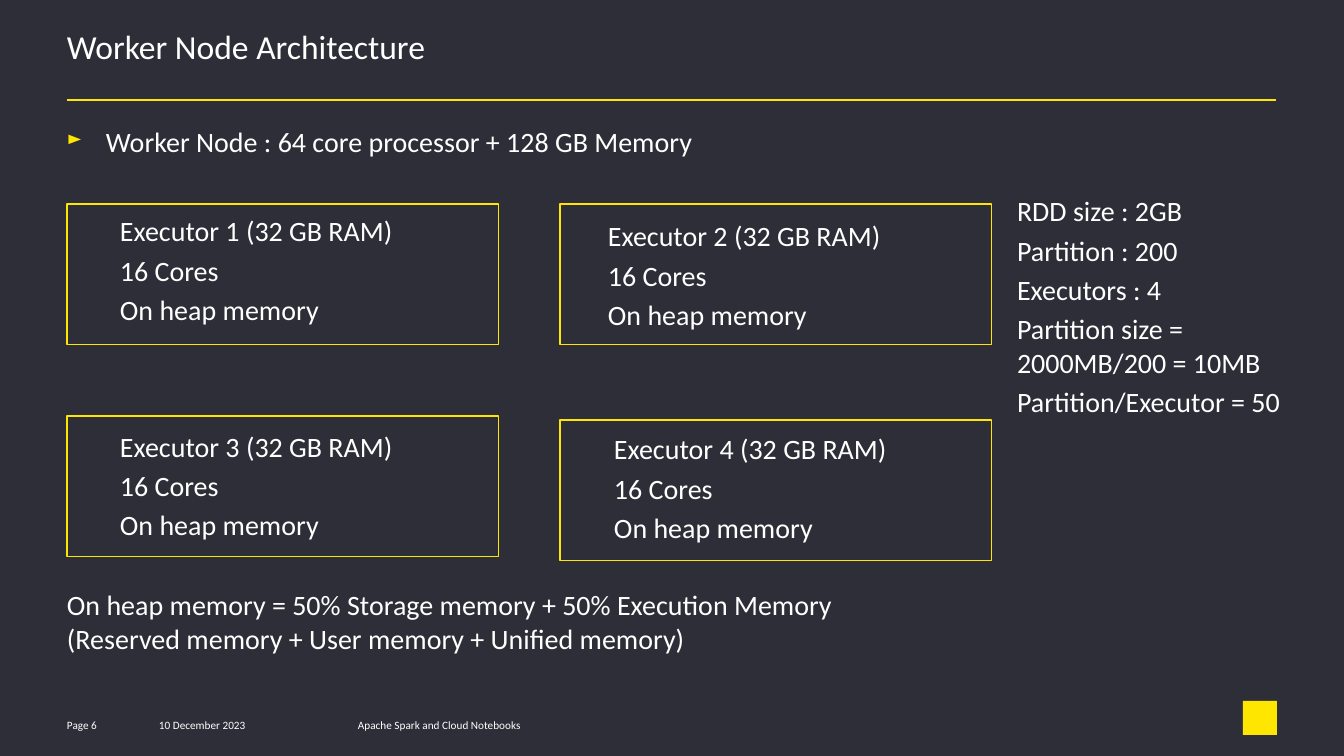
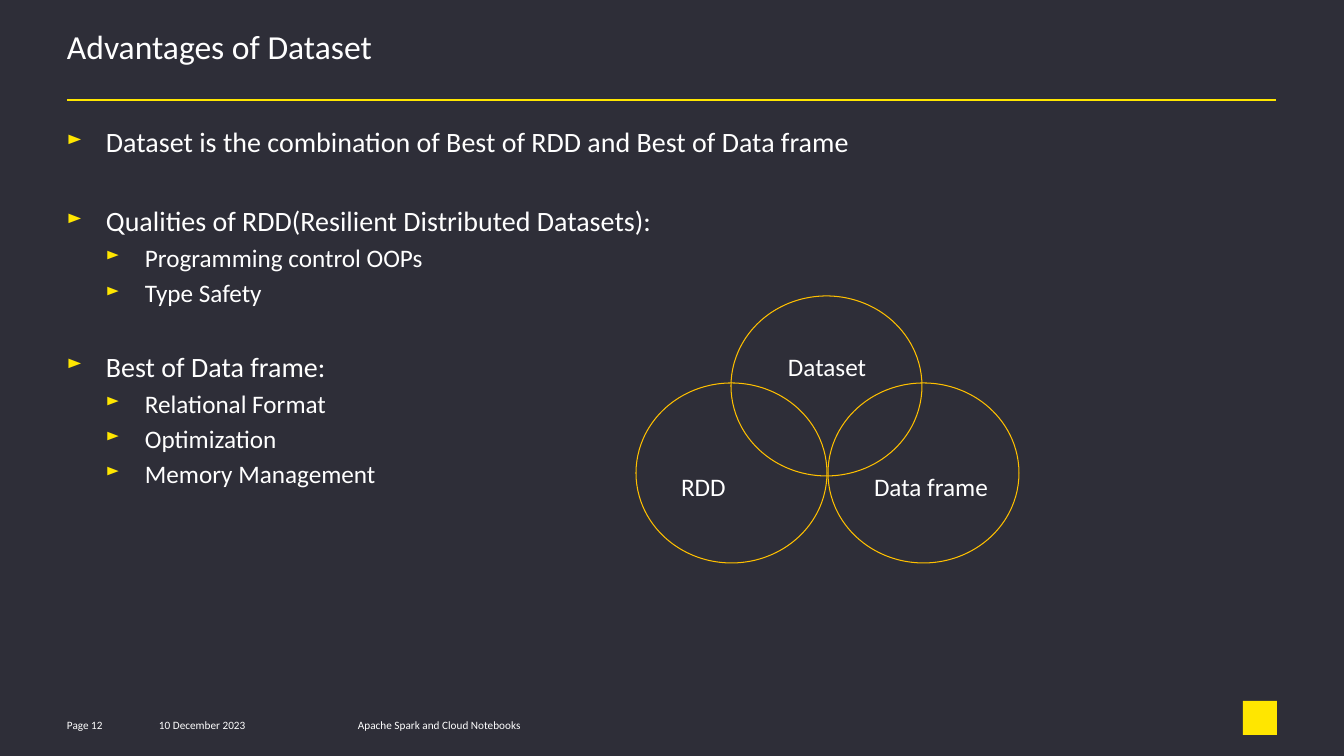
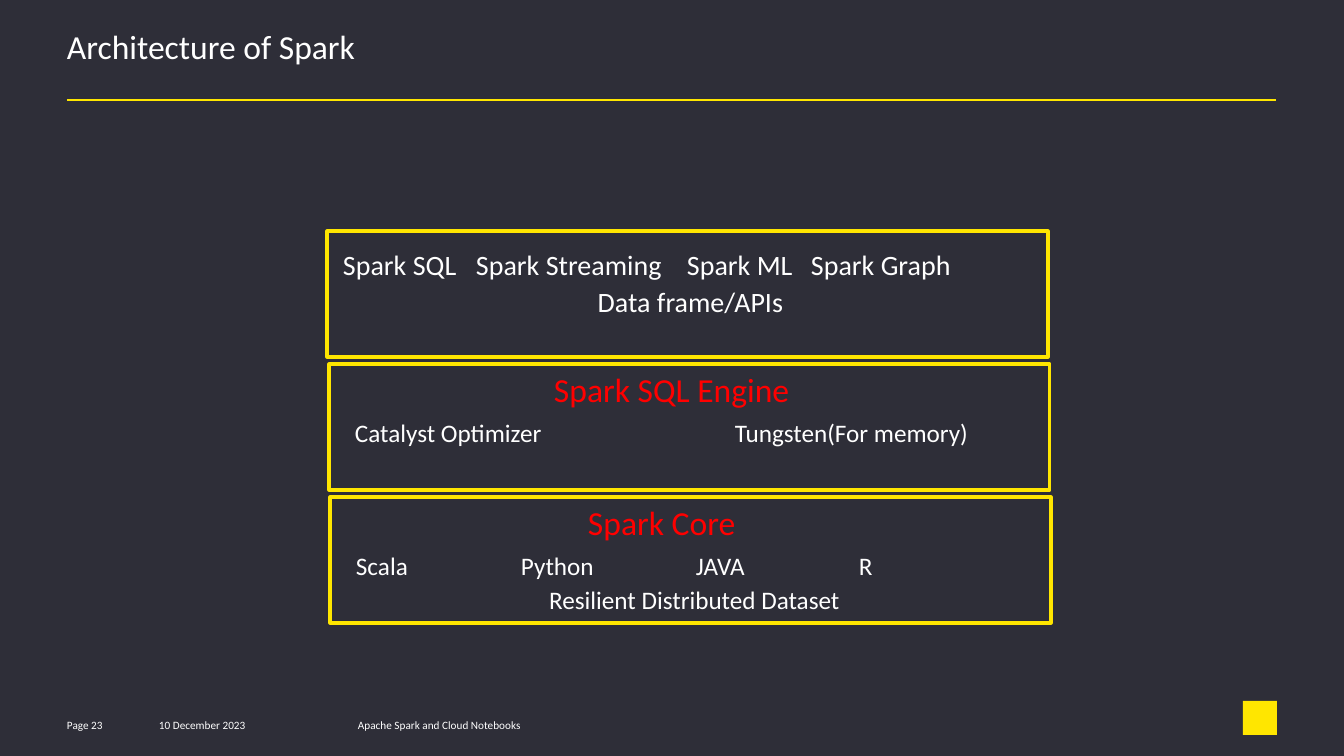
from lxml import etree
from pptx import Presentation
from pptx.dml.color import RGBColor
from pptx.enum.shapes import MSO_CONNECTOR, MSO_SHAPE
from pptx.enum.text import PP_ALIGN
from pptx.oxml.ns import qn
from pptx.util import Pt

STRAIGHT = MSO_CONNECTOR.STRAIGHT
RECTANGLE = MSO_SHAPE.RECTANGLE
OVAL = MSO_SHAPE.OVAL
CENTER = PP_ALIGN.CENTER

EMU_PER_PX = 9076
SLIDE_W, SLIDE_H = 1344, 756
LEFT, CONTENT_W = 67, 1209
BULLET_INDENT = 39

FONT = "Calibri"
BACKGROUND = RGBColor(0x2E, 0x2E, 0x38)
YELLOW = RGBColor(0xFF, 0xE6, 0x00)
AMBER = RGBColor(0xFF, 0xC0, 0x00)
WHITE = RGBColor(0xFF, 0xFF, 0xFF)
RED = RGBColor(0xFF, 0x00, 0x00)

TIGHT = {"line_spacing": 0.85, "after": 6}


def px(*lengths):
    return [length * EMU_PER_PX for length in lengths]


def add_frame(slide, x, y, w, h):
    frame = slide.shapes.add_textbox(*px(x, y, w, h)).text_frame
    frame.word_wrap = True
    frame.margin_left = frame.margin_right = 0
    frame.margin_top = frame.margin_bottom = 0
    return frame


def add_bullet(properties, level):
    indent = BULLET_INDENT * EMU_PER_PX
    properties.set("marL", str(indent * (level + 1)))
    properties.set("indent", str(-indent))
    color = etree.SubElement(properties, qn("a:buClr"))
    etree.SubElement(color, qn("a:srgbClr"), val=str(YELLOW))
    etree.SubElement(properties, qn("a:buSzPct"), val="70000")
    etree.SubElement(properties, qn("a:buChar"), char="►")


def add_tabs(properties, stops):
    tab_list = etree.SubElement(properties, qn("a:tabLst"))
    for stop in px(*stops):
        etree.SubElement(tab_list, qn("a:tab"), pos=str(stop), algn="l")


def write(frame, text, size=20, color=WHITE, before=None, after=0,
          line_spacing=None, align=None, bullet_level=None, tabs=()):
    first = not frame.paragraphs[0].runs
    paragraph = frame.paragraphs[0] if first else frame.add_paragraph()
    paragraph.text = text
    properties = paragraph._p.get_or_add_pPr()
    if bullet_level is not None:
        add_bullet(properties, bullet_level)
    if tabs:
        add_tabs(properties, tabs)
    if before is None:
        before = size * 0.2
    paragraph.space_before = Pt(0 if first else before)
    paragraph.space_after = Pt(after)
    paragraph.line_spacing = line_spacing
    paragraph.alignment = align
    for run in paragraph.runs:
        run.font.name = FONT
        run.font.size = Pt(size)
        run.font.color.rgb = color


def add_outline(slide, preset, box, color, width):
    outline = slide.shapes.add_shape(preset, *px(*box))
    outline.shadow.inherit = False
    outline.fill.background()
    outline.line.color.rgb = color
    outline.line.width = Pt(width)


def add_base(deck, title, page):
    slide = deck.slides.add_slide(deck.slide_layouts[6])
    slide.background.fill.solid()
    slide.background.fill.fore_color.rgb = BACKGROUND

    write(add_frame(slide, LEFT, 32, CONTENT_W, 65), title, size=24,
          line_spacing=0.85)
    rule = slide.shapes.add_connector(
        STRAIGHT, *px(LEFT, 100, LEFT + CONTENT_W, 100))
    rule.line.color.rgb = YELLOW
    rule.line.width = Pt(1.5)
    etree.SubElement(rule._element.spPr, qn("a:effectLst"))

    footer = [(LEFT, 80, f"Page {page}"), (159, 180, "10 December 2023"),
              (358, 330, "Apache Spark and Cloud Notebooks")]
    for x, width, text in footer:
        write(add_frame(slide, x, 718, width, 15), text, size=8)
    emblem = slide.shapes.add_shape(RECTANGLE, *px(1243, 701, 34, 34))
    emblem.shadow.inherit = False
    emblem.fill.solid()
    emblem.fill.fore_color.rgb = YELLOW
    emblem.line.fill.background()
    return slide


def add_bullets(slide, height, bullets):
    frame = add_frame(slide, LEFT, 125, CONTENT_W, height)
    for text, level, before in bullets:
        write(frame, text, size=20 - 2 * level, bullet_level=level,
              before=before)


def add_executor(slide, number, x, y, dx, dy):
    add_outline(slide, RECTANGLE, (x, y, 432, 141), YELLOW, 0.75)
    frame = add_frame(slide, x + dx, y + dy, 370, 115)
    for text in (f"Executor {number} (32 GB RAM)", "16 Cores",
                 "On heap memory"):
        write(frame, text)


def build_worker_node(deck):
    slide = add_base(deck, "Worker Node Architecture", 6)
    add_bullets(slide, 47, [
        ("Worker Node : 64 core processor + 128 GB Memory", 0, None)])
    executors = [(LEFT, 204, 53, 10), (560, 204, 48, 15),
                 (LEFT, 416, 53, 13), (560, 420, 54, 12)]
    for number, place in enumerate(executors, 1):
        add_executor(slide, number, *place)
    sizing = add_frame(slide, 1017, 194, 316, 367)
    for text in ("RDD size : 2GB", "Partition : 200", "Executors : 4",
                 "Partition size = 2000MB/200 = 10MB",
                 "Partition/Executor = 50"):
        write(sizing, text)
    write(add_frame(slide, LEFT, 588, CONTENT_W, 77),
          "On heap memory = 50% Storage memory + 50% Execution Memory\n"
          "(Reserved memory + User memory + Unified memory)")


def add_venn(slide, x, y):
    circles = [("RDD", 0, 87, 45, 93), ("Data frame", 192, 87, 46, 93),
               ("Dataset", 95, 0, 57, 60)]
    for text, dx, dy, label_dx, label_dy in circles:
        left, top = x + dx, y + dy
        add_outline(slide, OVAL, (left, top, 191, 180), AMBER, 0.75)
        label = add_frame(slide, left + label_dx, top + label_dy, 130, 26)
        write(label, text, size=18, **TIGHT)


def build_dataset(deck):
    slide = add_base(deck, "Advantages of Dataset", 12)
    add_bullets(slide, 524, [
        ("Dataset is the combination of Best of RDD and Best of Data frame",
         0, None),
        ("Qualities of RDD(Resilient Distributed Datasets):", 0, 32.4),
        ("Programming control OOPs", 1, None),
        ("Type Safety", 1, None),
        ("Best of Data frame:", 0, 29.6),
        ("Relational Format", 1, None),
        ("Optimization", 1, None),
        ("Memory Management", 1, None)])
    add_venn(slide, 636, 296)


def add_layer(slide, x, y, parts, tabs, size=18, text_at=(26, 58),
              text_w=695, summary=None, heading=None, heading_dx=0):
    add_outline(slide, RECTANGLE, (x, y, 721, 126), YELLOW, 2.25)
    if heading:
        write(add_frame(slide, x + heading_dx, y + 11, 300, 34), heading,
              size=24, color=RED, **TIGHT)
    dx, dy = text_at
    frame = add_frame(slide, x + dx, y + dy, text_w, 60)
    write(frame, "\t".join(parts), size=size, tabs=tabs, before=0, **TIGHT)
    if summary:
        write(frame, summary, size=size, align=CENTER, before=0, **TIGHT)


def build_spark(deck):
    slide = add_base(deck, "Architecture of Spark", 23)
    top, pitch = 231, 133
    add_layer(slide, 327, top,
              ["Spark SQL", "Spark Streaming", "Spark ML", "Spark Graph"],
              (133, 344, 468), size=20, text_at=(16, 22),
              summary="Data frame/APIs")
    add_layer(slide, 329, top + pitch,
              ["Catalyst Optimizer", "Tungsten(For memory)"], (380,),
              heading="Spark SQL Engine", heading_dx=225)
    add_layer(slide, 330, top + 2 * pitch,
              ["Scala", "Python", "JAVA", "R"], (165, 340, 503),
              text_w=677, summary="Resilient Distributed Dataset",
              heading="Spark Core", heading_dx=258)


def main():
    deck = Presentation()
    deck.slide_width, deck.slide_height = px(SLIDE_W, SLIDE_H)
    build_worker_node(deck)
    build_dataset(deck)
    build_spark(deck)
    deck.save("out.pptx")


if __name__ == "__main__":
    main()
